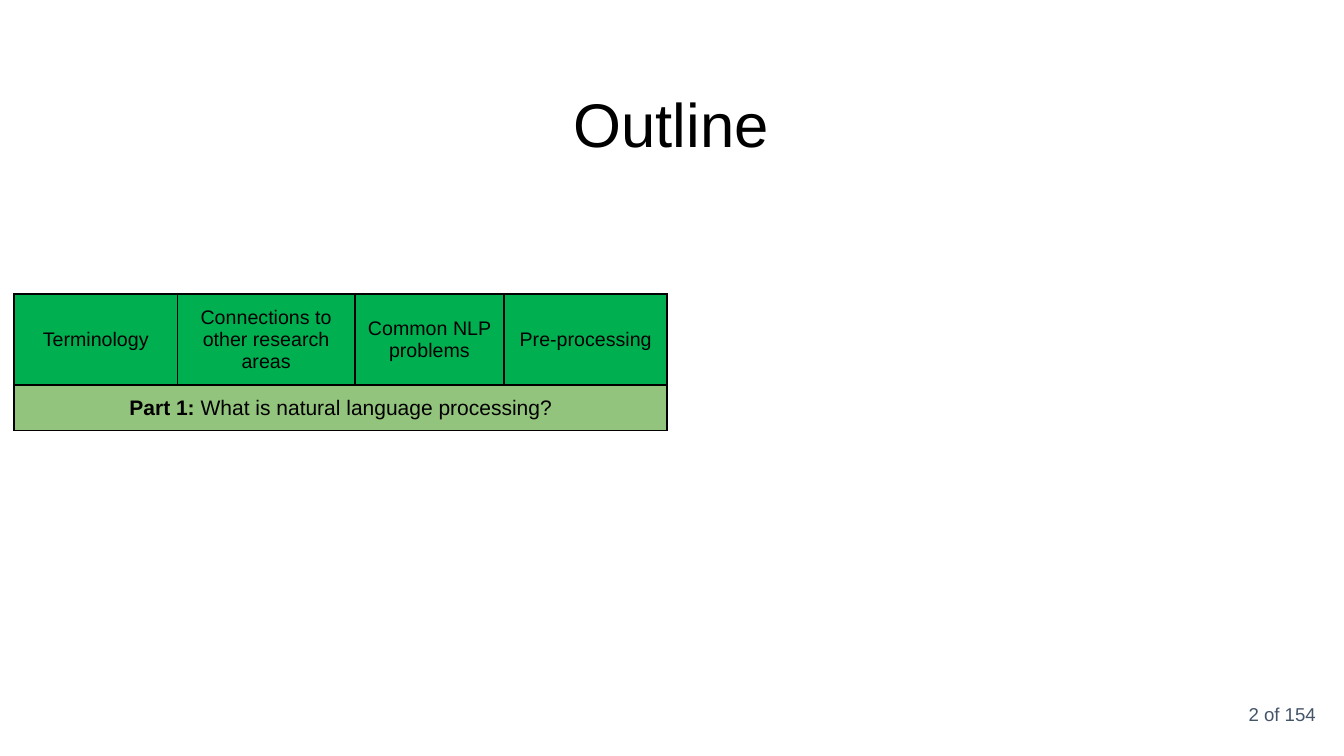
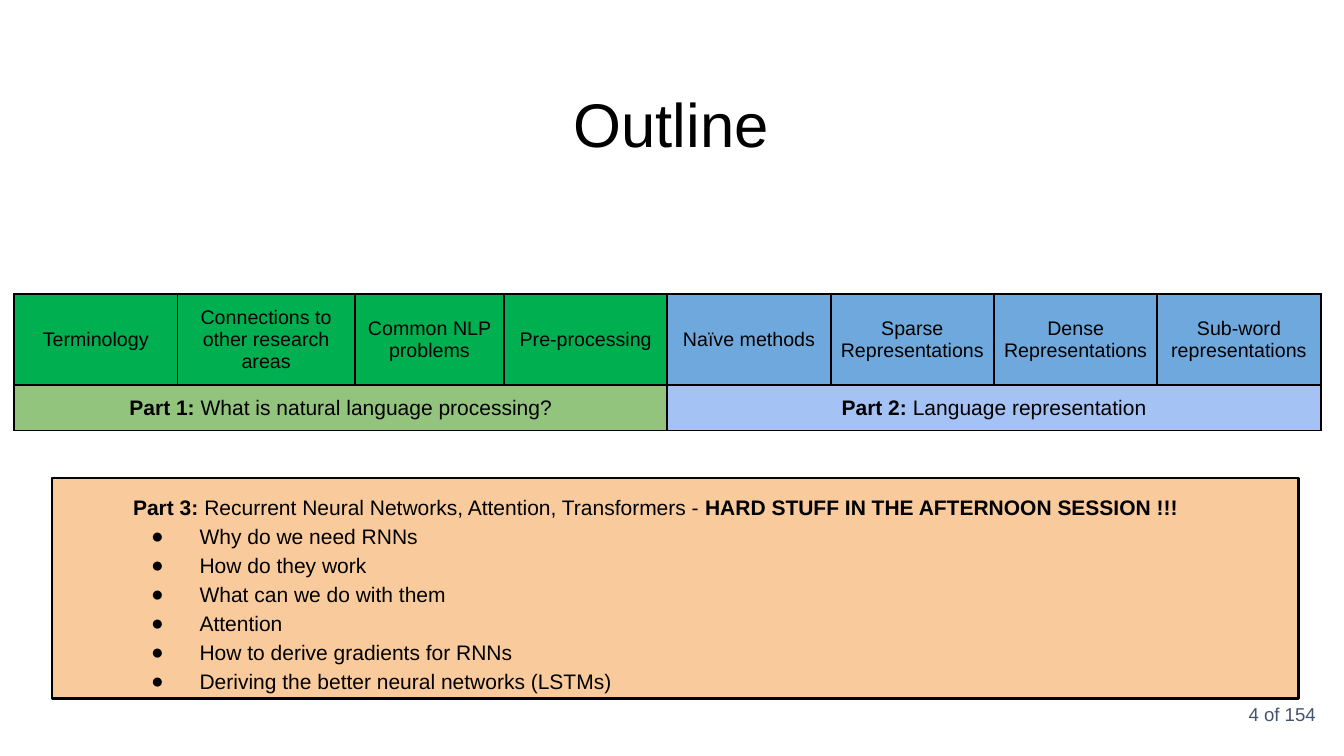
from lxml import etree
from pptx import Presentation
from pptx import util as u
from pptx.dml import color
from pptx.enum import shapes, text
from pptx.oxml import ns

COLORS = {
    "ink": "000000",
    "page_number": "44546A",
    "green": "00B050",
    "light_green": "93C47D",
    "blue": "6FA8DC",
    "light_blue": "A4C2F4",
    "orange": "F9CB9C",
}
FONT = "Arial"
RULE = u.Pt(1.5)
TOTAL_PAGES = 154
TOPIC_WIDTH = 1.62
WIDTHS = {"Connections to other research areas": 1.76, "Common NLP problems": 1.48}

PART_1 = {
    "label": "Part 1: ",
    "name": "What is natural language processing?",
    "topics": ["Terminology", "Connections to other research areas",
               "Common NLP problems", "Pre-processing"],
    "colors": ("green", "light_green"),
}
PART_2 = {
    "label": "Part 2:",
    "name": " Language representation",
    "topics": ["Naïve methods", "Sparse Representations",
               "Dense Representations", "Sub-word representations"],
    "colors": ("blue", "light_blue"),
}
PART_3_HEADING = [
    ("Part 3: ", True),
    ("Recurrent Neural Networks, Attention, Transformers - ", False),
    ("HARD STUFF IN THE AFTERNOON SESSION !!!", True),
]
PART_3_TOPICS = [
    "Why do we need RNNs",
    "How do they work",
    "What can we do with them",
    "Attention",
    "How to derive gradients for RNNs",
    "Deriving the better neural networks (LSTMs)",
]


def rgb(name):
    return color.RGBColor.from_string(COLORS[name])


def child(parent, tag, **attributes):
    return etree.SubElement(parent, ns.qn(tag), attributes)


def write(paragraph, runs, size=14, ink="ink", align=text.PP_ALIGN.LEFT,
          spacing=1.0, indent=0, hanging=0, bullet=None):
    if isinstance(runs, str):
        runs = [(runs, False)]
    paragraph.alignment = align
    paragraph.line_spacing = spacing
    properties = paragraph._p.get_or_add_pPr()
    properties.set("marL", str(u.Inches(indent)))
    properties.set("indent", str(u.Inches(-hanging)))
    if bullet:
        bullet_color = child(properties, "a:buClr")
        child(bullet_color, "a:srgbClr", val=COLORS[ink])
        child(properties, "a:buFont", typeface=FONT)
        child(properties, "a:buChar", char=bullet)
    for words, bold in runs:
        run = paragraph.add_run()
        run.text = words
        run.font.name = FONT
        run.font.size = u.Pt(size)
        run.font.bold = bold
        run.font.color.rgb = rgb(ink)


class Deck:
    """Holds the presentation, its shared style and the current slide."""

    def __init__(self):
        self.presentation = Presentation()
        self.presentation.slide_width = u.Inches(13.33)
        self.presentation.slide_height = u.Inches(7.5)
        self.slide = None

    def start_slide(self, page):
        self.slide = self.presentation.slides.add_slide(
            self.presentation.slide_layouts[6])
        self.label("Outline", (0.45, 0.65, 12.42, 0.84), (0.13, 0.2, 0.13, 0),
                   size=44, align=text.PP_ALIGN.CENTER)
        self.label(f"{page} of {TOTAL_PAGES}", (11.39, 6.8, 1.76, 0.57), (0.1,) * 4,
                   anchor=text.MSO_ANCHOR.MIDDLE, size=13.3, ink="page_number",
                   align=text.PP_ALIGN.RIGHT)

    def set_frame(self, frame, insets, anchor):
        frame.word_wrap = True
        frame.vertical_anchor = anchor
        (frame.margin_left, frame.margin_top,
         frame.margin_right, frame.margin_bottom) = map(u.Inches, insets)

    def label(self, words, place, insets, anchor=text.MSO_ANCHOR.TOP, **style):
        frame = self.slide.shapes.add_textbox(*map(u.Inches, place)).text_frame
        self.set_frame(frame, insets, anchor)
        write(frame.paragraphs[0], words, **style)

    def cell(self, cell, runs, fill, **style):
        properties = cell._tc.get_or_add_tcPr()
        for side in ("a:lnL", "a:lnR", "a:lnT", "a:lnB"):
            border = child(properties, side, w=str(RULE))
            child(child(border, "a:solidFill"), "a:srgbClr", val=COLORS["ink"])
        cell.fill.solid()
        cell.fill.fore_color.rgb = rgb(fill)
        cell.vertical_anchor = text.MSO_ANCHOR.MIDDLE
        cell.margin_left = cell.margin_right = u.Inches(0.09)
        cell.margin_top = cell.margin_bottom = u.Inches(0.1)
        write(cell.text_frame.paragraphs[0], runs, align=text.PP_ALIGN.CENTER, **style)

    def roadmap(self, parts):
        widths = [WIDTHS.get(topic, TOPIC_WIDTH)
                  for part in parts for topic in part["topics"]]
        heights = (0.87, 0.42)
        table = self.slide.shapes.add_table(
            2, len(widths), u.Inches(0.14), u.Inches(2.92),
            u.Inches(sum(widths)), u.Inches(sum(heights))).table
        table.first_row = table.horz_banding = False
        for column, width in zip(table.columns, widths):
            column.width = u.Inches(width)
        for row, height in zip(table.rows, heights):
            row.height = u.Inches(height)
        first = 0
        for part in parts:
            topic_fill, part_fill = part["colors"]
            last = first + len(part["topics"]) - 1
            table.cell(1, first).merge(table.cell(1, last))
            for column, topic in enumerate(part["topics"], first):
                self.cell(table.cell(0, column), topic, topic_fill)
                heading = [(part["label"], True), (part["name"], False)]
                self.cell(table.cell(1, column), heading if column == first else [],
                          part_fill, size=15)
            first = last + 1

    def topic_box(self, heading, topics):
        box = self.slide.shapes.add_shape(
            shapes.MSO_SHAPE.RECTANGLE, *map(u.Inches, (0.52, 4.74, 12.36, 2.19)))
        box.shadow.inherit = False
        box.fill.solid()
        box.fill.fore_color.rgb = rgb("orange")
        box.line.color.rgb = rgb("ink")
        box.line.width = RULE
        frame = box.text_frame
        self.set_frame(frame, (0.13,) * 4, text.MSO_ANCHOR.TOP)
        write(frame.paragraphs[0], heading, size=15, spacing=1.15, indent=0.67)
        for topic in topics:
            paragraph = frame.add_paragraph()
            paragraph.level = 1
            write(paragraph, topic, size=15, spacing=1.15,
                  indent=1.33, hanging=0.48, bullet="●")


def main():
    deck = Deck()
    deck.start_slide(2)
    deck.roadmap([PART_1])
    deck.start_slide(4)
    deck.topic_box(PART_3_HEADING, PART_3_TOPICS)
    deck.roadmap([PART_1, PART_2])
    deck.presentation.save("out.pptx")


if __name__ == "__main__":
    main()
